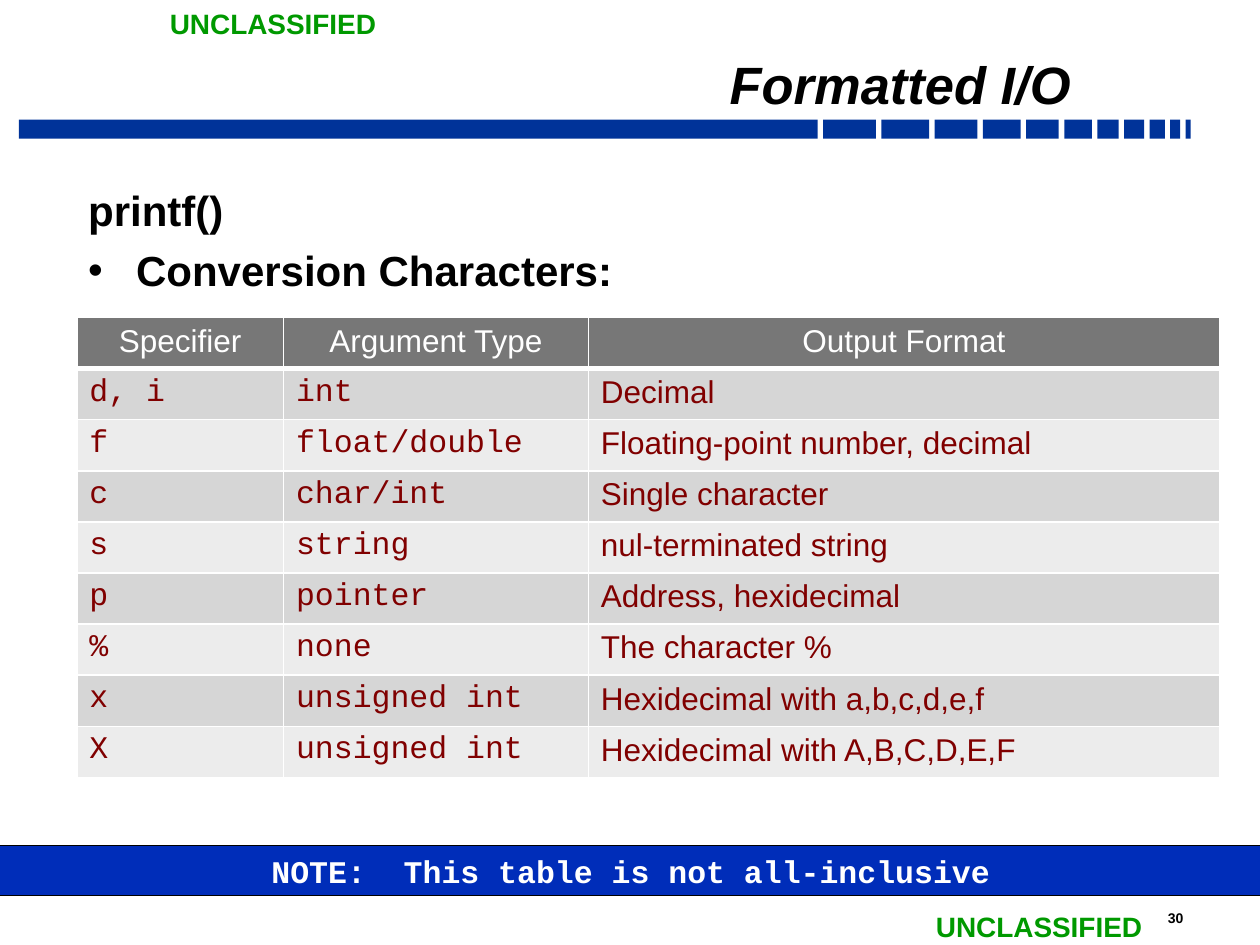
from dataclasses import dataclass

from lxml import etree
from pptx import Presentation
from pptx.dml.color import RGBColor
from pptx.enum.shapes import MSO_SHAPE
from pptx.enum.text import MSO_ANCHOR, MSO_AUTO_SIZE, PP_ALIGN
from pptx.oxml.ns import qn
from pptx.util import Inches, Pt

RECTANGLE = MSO_SHAPE.RECTANGLE
TOP, MIDDLE, BOTTOM = MSO_ANCHOR.TOP, MSO_ANCHOR.MIDDLE, MSO_ANCHOR.BOTTOM
LEFT, CENTER, RIGHT = PP_ALIGN.LEFT, PP_ALIGN.CENTER, PP_ALIGN.RIGHT
NO_FIT = MSO_AUTO_SIZE.NONE


@dataclass(frozen=True)
class Theme:
    sans: str = "Arial"
    mono: str = "Courier New"
    black: str = "000000"
    white: str = "FFFFFF"
    bar: str = "003399"
    marking: str = "009900"
    banner: str = "002DB9"
    header: str = "777777"
    bands: tuple = ("D6D6D6", "ECECEC")
    cell_text: str = "800000"
    title_size: int = 30
    body_size: int = 24
    table_size: int = 18
    marking_size: int = 16
    number_size: int = 8


THEME = Theme()
BAR_WIDTHS = (6.34, 0.42, 0.38, 0.34, 0.3, 0.26, 0.22, 0.17, 0.16, 0.12, 0.08, 0.04)
COLUMN_WIDTHS = (1.64, 2.42, 5.01)
HEADINGS = ("Specifier", "Argument Type", "Output Format")
CONVERSIONS = (
    ("d, i", "int", "Decimal"),
    ("f", "float/double", "Floating-point number, decimal"),
    ("c", "char/int", "Single character"),
    ("s", "string", "nul-terminated string"),
    ("p", "pointer", "Address, hexidecimal"),
    ("%", "none", "The character %"),
    ("x", "unsigned int", "Hexidecimal with a,b,c,d,e,f"),
    ("X", "unsigned int", "Hexidecimal with A,B,C,D,E,F"),
)


def color(value):
    return RGBColor.from_string(value)


def add_run(paragraph, text, size, value, font=THEME.sans, bold=True, italic=False):
    run = paragraph.add_run()
    run.text = text
    run.font.name = font
    run.font.size = Pt(size)
    run.font.bold = bold
    run.font.italic = italic
    run.font.color.rgb = color(value)


def add_rectangle(slide, box, fill):
    shape = slide.shapes.add_shape(RECTANGLE, *map(Inches, box))
    shape.shadow.inherit = False
    shape.fill.solid()
    shape.fill.fore_color.rgb = color(fill)
    shape.line.fill.background()
    return shape


def add_segmented_bar(slide, box):
    left, top, width, height = box
    gap = (width - sum(BAR_WIDTHS)) / (len(BAR_WIDTHS) - 1)
    for segment_width in BAR_WIDTHS:
        add_rectangle(slide, (left, top, segment_width, height), THEME.bar)
        left += segment_width + gap


def add_label(slide, box, text, size, value, wrap):
    frame = slide.shapes.add_textbox(*map(Inches, box)).text_frame
    frame.word_wrap = wrap
    add_run(frame.paragraphs[0], text, size, value)


def place_placeholder(shape, box, anchor):
    shape.left, shape.top, shape.width, shape.height = map(Inches, box)
    frame = shape.text_frame
    frame.auto_size = NO_FIT
    frame.word_wrap = True
    frame.vertical_anchor = anchor
    frame.margin_left = frame.margin_right = Inches(0.09)
    frame.margin_top = frame.margin_bottom = Inches(0.04)
    return frame


def fill_title(slide, box):
    paragraph = place_placeholder(slide.shapes.title, box, BOTTOM).paragraphs[0]
    paragraph.alignment = RIGHT
    paragraph.line_spacing = 0.7
    add_run(paragraph, "Formatted I/O", THEME.title_size, THEME.black, italic=True)


def set_bullet(paragraph, indent, character=None):
    properties = paragraph._p.get_or_add_pPr()
    properties.set("marL", str(Inches(indent)))
    properties.set("indent", str(-Inches(indent)))
    if character:
        etree.SubElement(properties, qn("a:buFont"), typeface=THEME.sans)
        etree.SubElement(properties, qn("a:buChar"), char=character)
    else:
        etree.SubElement(properties, qn("a:buNone"))


def fill_body(slide, box):
    frame = place_placeholder(slide.placeholders[1], box, TOP)
    heading = frame.paragraphs[0]
    set_bullet(heading, 0)
    heading.space_before = Pt(0)
    add_run(heading, "printf()", THEME.body_size, THEME.black)
    item = frame.add_paragraph()
    set_bullet(item, 0.38, "•")
    item.space_before = Pt(6)
    add_run(item, "Conversion Characters:", THEME.body_size, THEME.black)


def set_borders(cell, widths):
    properties = cell._tc.get_or_add_tcPr()
    for side, width in zip("LRTB", widths):
        line = etree.SubElement(properties, qn(f"a:ln{side}"), w=str(Pt(width)))
        fill = etree.SubElement(line, qn("a:solidFill"))
        etree.SubElement(fill, qn("a:srgbClr"), val=THEME.white)


def add_conversion_table(slide, box):
    rows = (HEADINGS, *CONVERSIONS)
    table = slide.shapes.add_table(len(rows), len(HEADINGS), *map(Inches, box)).table
    for column, width in zip(table.columns, COLUMN_WIDTHS):
        column.width = Inches(width)
    for row_index, texts in enumerate(rows):
        is_header = row_index == 0
        fill = THEME.header if is_header else THEME.bands[(row_index - 1) % 2]
        text_color = THEME.white if is_header else THEME.cell_text
        top_width = 3 if row_index == 1 else 1
        bottom_width = 3 if is_header else 1
        for column_index, text in enumerate(texts):
            cell = table.cell(row_index, column_index)
            set_borders(cell, (1, 1, top_width, bottom_width))
            cell.fill.solid()
            cell.fill.fore_color.rgb = color(fill)
            paragraph = cell.text_frame.paragraphs[0]
            paragraph.alignment = CENTER if is_header else LEFT
            is_code = not is_header and column_index < 2
            font = THEME.mono if is_code else THEME.sans
            add_run(paragraph, text, THEME.table_size, text_color, font, bold=False)


def add_note_banner(slide, box):
    shape = add_rectangle(slide, box, THEME.banner)
    shape.line.color.rgb = color(THEME.black)
    shape.line.width = Pt(0.75)
    frame = shape.text_frame
    frame.word_wrap = True
    frame.vertical_anchor = MIDDLE
    paragraph = frame.paragraphs[0]
    paragraph.alignment = CENTER
    text = "NOTE:  This table is not all-inclusive"
    add_run(paragraph, text, THEME.table_size, THEME.white, THEME.mono)


def main():
    presentation = Presentation()
    presentation.slide_width = Inches(10)
    presentation.slide_height = Inches(7.5)
    slide = presentation.slides.add_slide(presentation.slide_layouts[1])
    add_segmented_bar(slide, (0.15, 0.95, 9.3, 0.15))
    add_label(slide, (9.17, 7.17, 0.54, 0.23), "30", THEME.number_size, THEME.black, True)
    for left, top in ((1.25, 0), (7.33, 7.17)):
        box = (left, top, 1.86, 0.37)
        add_label(slide, box, "UNCLASSIFIED", THEME.marking_size, THEME.marking, False)
    fill_body(slide, (0.61, 1.42, 9.07, 5.17))
    fill_title(slide, (1.67, 0.35, 6.92, 0.59))
    add_conversion_table(slide, (0.61, 2.52, 9.07, 3.65))
    add_note_banner(slide, (-0.58, 6.71, 11.17, 0.4))
    presentation.save("out.pptx")


if __name__ == "__main__":
    main()
